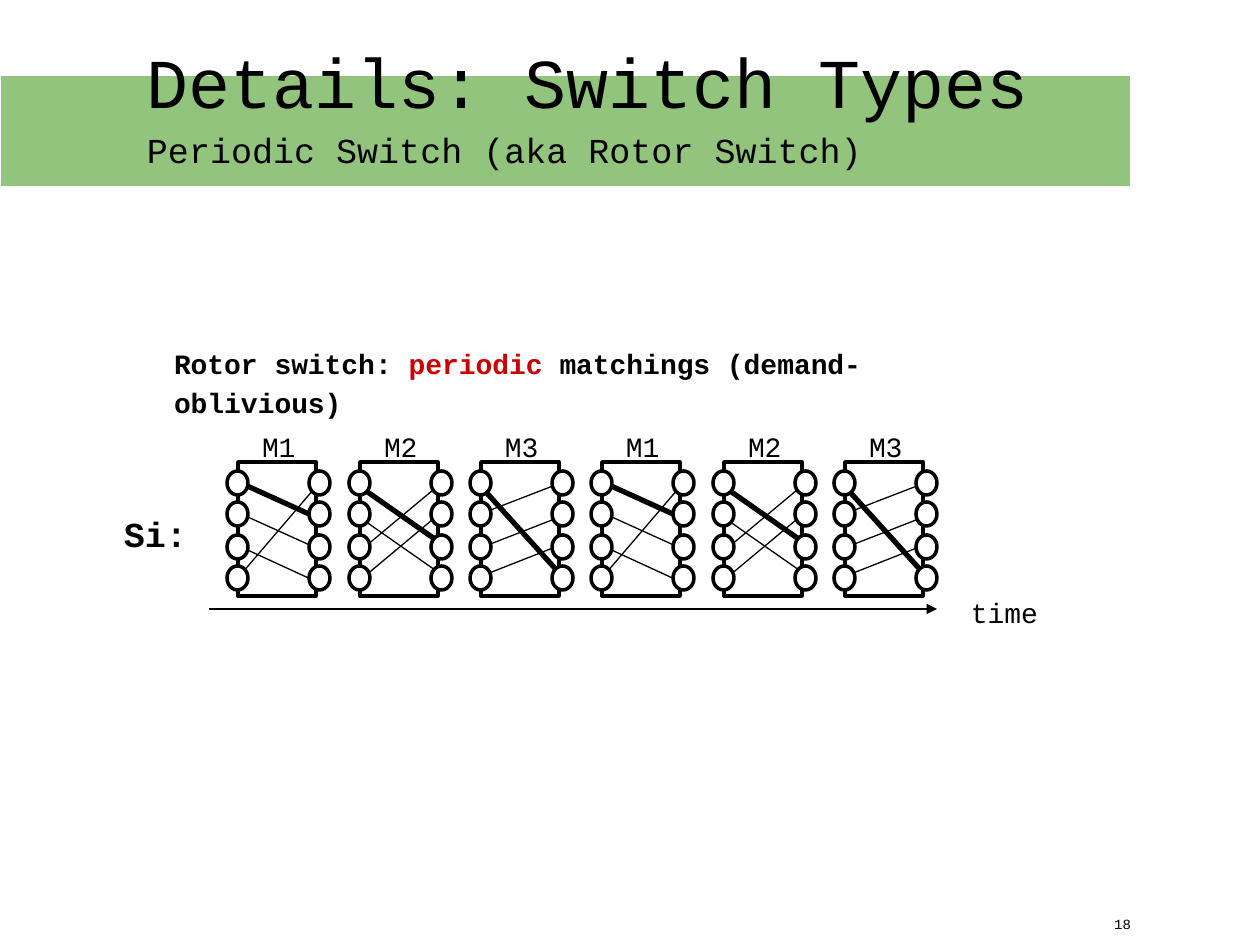
from lxml import etree
from pptx import Presentation
from pptx.dml.color import RGBColor
from pptx.enum.shapes import MSO_CONNECTOR, MSO_SHAPE
from pptx.enum.text import MSO_ANCHOR, PP_ALIGN
from pptx.oxml.ns import qn
from pptx.util import Emu, Pt

STRAIGHT = MSO_CONNECTOR.STRAIGHT
RECTANGLE = MSO_SHAPE.RECTANGLE
OVAL = MSO_SHAPE.OVAL
TOP = MSO_ANCHOR.TOP
LEFT = PP_ALIGN.LEFT
RIGHT = PP_ALIGN.RIGHT

PX_PER_INCH = 126
FONT = "Courier New"
COLORS = {"black": "000000", "white": "FFFFFF", "red": "CC0000", "green": "93C47D"}

THIN, MEDIUM, THICK = 0.75, 2, 3
BOX_TOP, BOX_WIDTH, BOX_HEIGHT = 462, 78, 134
NODE_WIDTH, NODE_HEIGHT = 21, 24
NODE_OFFSETS = (-11, 71)
NODE_TOPS = (471, 502, 535, 566)
FIRST_BOX, CYCLE_WIDTH, CYCLES = 238, 364, 2

# Each link: x offset and y of its start, x offset and y of its end, line width.
MATCHINGS = {
    "M1": (0, [
        (-4, 480, 71, 514, THICK),
        (1, 513, 76, 547, THIN),
        (3, 547, 77, 581, THIN),
        (-7, 586, 88, 475, THIN),
    ]),
    "M2": (122, [
        (-8, 512, 75, 570, THIN),
        (-6, 556, 91, 475, THIN),
        (-7, 586, 90, 505, THIN),
        (-11, 479, 89, 549, THICK),
    ]),
    "M3": (243, [
        (-5, 481, 90, 586, THICK),
        (-11, 518, 90, 479, THIN),
        (-11, 552, 89, 513, THIN),
        (-12, 581, 87, 542, THIN),
    ]),
}


def px(value):
    return Emu(round(value * 914400 / PX_PER_INCH))


def color(name):
    return RGBColor.from_string(COLORS[name])


def add_text(slide, at, runs, size=16, bold=False, inset=13, align=LEFT):
    box = slide.shapes.add_textbox(*map(px, at))
    frame = box.text_frame
    frame_format = {
        "word_wrap": True, "vertical_anchor": TOP,
        "margin_left": px(13), "margin_right": px(13),
        "margin_top": px(inset), "margin_bottom": px(inset),
    }
    for name, value in frame_format.items():
        setattr(frame, name, value)
    paragraph = frame.paragraphs[0]
    paragraph.alignment = align
    paragraph.line_spacing = 1.15
    for text, run_format in runs:
        if text == "\n":
            paragraph.add_line_break()
            continue
        run = paragraph.add_run()
        run.text = text
        run.font.color.rgb = color(run_format.get("color", "black"))
        font_format = {
            "name": FONT, "bold": bold, "size": Pt(run_format.get("size", size)),
        }
        for name, value in font_format.items():
            setattr(run.font, name, value)


def add_shape(slide, kind, at, fill=None, line="black", width=MEDIUM):
    shape = slide.shapes.add_shape(kind, *map(px, at))
    shape.shadow.inherit = False
    if fill:
        shape.fill.solid()
        shape.fill.fore_color.rgb = color(fill)
    else:
        shape.fill.background()
    shape.line.color.rgb = color(line)
    shape.line.width = Pt(width)


def add_line(slide, ends, width=THIN, arrow=False):
    connector = slide.shapes.add_connector(STRAIGHT, *map(px, ends))
    connector.line.color.rgb = color("black")
    connector.line.width = Pt(width)
    properties = connector._element.spPr
    if arrow:
        tail = etree.SubElement(properties.find(qn("a:ln")), qn("a:tailEnd"))
        tail.set("type", "triangle")
    etree.SubElement(properties, qn("a:effectLst"))


def add_switch(slide, label, left, links):
    add_text(slide, (left + 11, 412, 67, 50), [(label, {})])
    for start_x, start_y, end_x, end_y, width in links:
        add_line(slide, (left + start_x, start_y, left + end_x, end_y), width)
    add_shape(slide, RECTANGLE, (left, BOX_TOP, BOX_WIDTH, BOX_HEIGHT))
    for offset in NODE_OFFSETS:
        for top in NODE_TOPS:
            node = (left + offset, top, NODE_WIDTH, NODE_HEIGHT)
            add_shape(slide, OVAL, node, fill="white")


def add_header(slide):
    add_shape(slide, RECTANGLE, (0, 75, 1131, 112), "green", "white", THIN)
    add_text(slide, (134, 20, 1126, 157), [
        ("Details: Switch Types", {"size": 40}),
        ("\n", {}),
        ("Periodic Switch (aka Rotor Switch)", {"size": 20}),
    ], inset=6)


def main():
    presentation = Presentation()
    presentation.slide_width = px(1260)
    presentation.slide_height = px(945)
    slide = presentation.slides.add_slide(presentation.slide_layouts[6])

    add_text(slide, (161, 329, 866, 82), [
        ("Rotor switch: ", {}),
        ("periodic ", {"color": "red"}),
        ("matchings (demand-oblivious)", {}),
    ], bold=True)
    add_line(slide, (209, 609, 937, 609), arrow=True)
    add_text(slide, (958, 578, 103, 82), [("time", {})])
    for cycle in range(CYCLES):
        for label, (offset, links) in MATCHINGS.items():
            left = FIRST_BOX + cycle * CYCLE_WIDTH + offset
            add_switch(slide, label, left, links)
    add_text(slide, (111, 493, 129, 82), [("Si:", {})], size=20, bold=True)
    add_header(slide)
    add_text(slide, (1094, 907, 50, 38), [("18", {})], size=8, inset=6, align=RIGHT)

    presentation.save("out.pptx")


if __name__ == "__main__":
    main()
